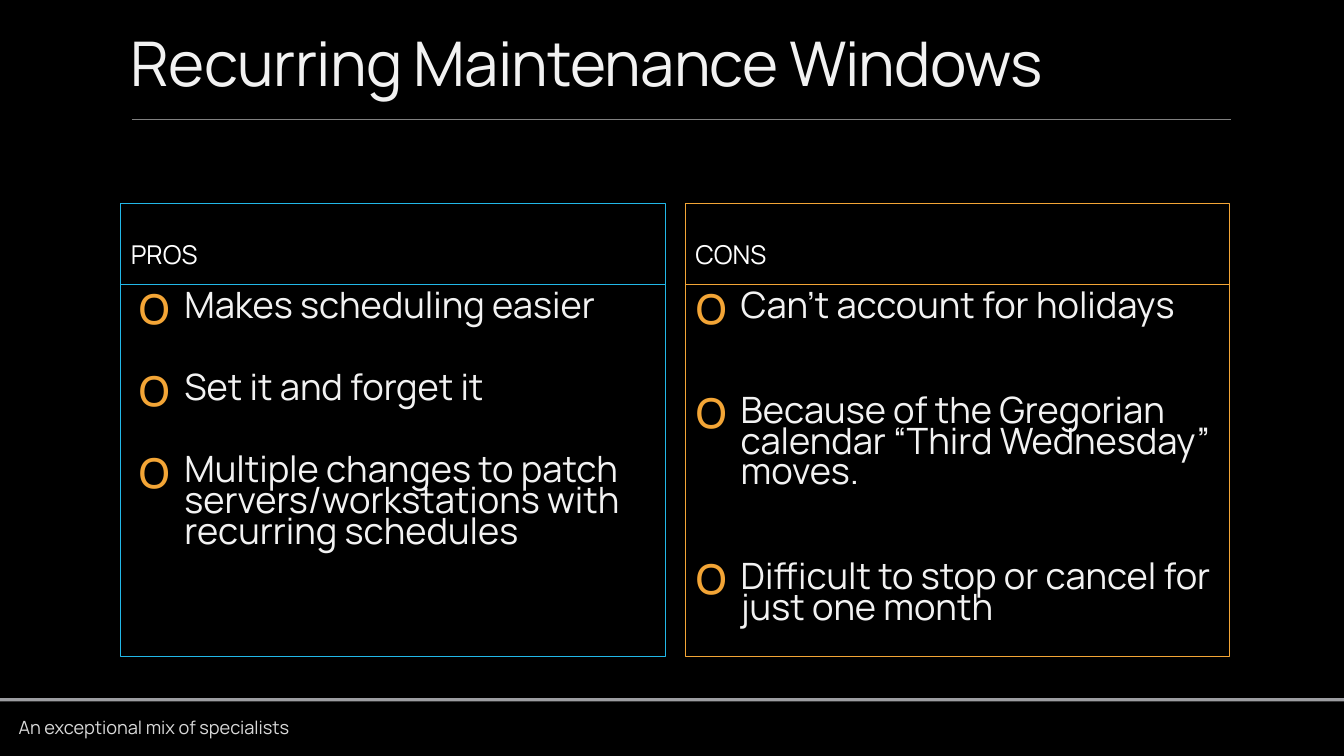
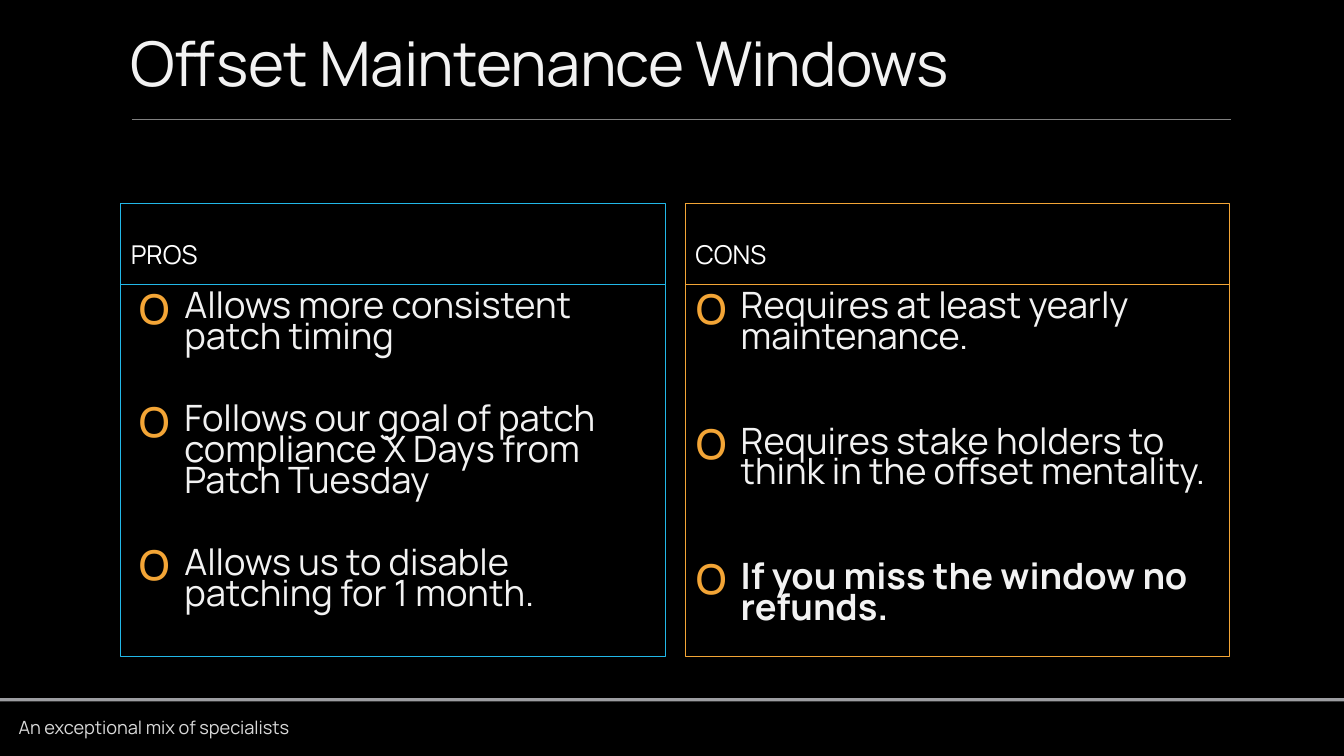
from lxml import etree
from pptx import Presentation
from pptx.dml.color import RGBColor
from pptx.enum.shapes import MSO_CONNECTOR, MSO_SHAPE
from pptx.enum.text import MSO_ANCHOR, PP_ALIGN
from pptx.oxml.ns import qn
from pptx.util import Pt

RECT, STRAIGHT = MSO_SHAPE.RECTANGLE, MSO_CONNECTOR.STRAIGHT
TOP, MIDDLE, LEFT = MSO_ANCHOR.TOP, MSO_ANCHOR.MIDDLE, PP_ALIGN.LEFT

BLACK = RGBColor(0x00, 0x00, 0x00)
WHITE = RGBColor(0xFF, 0xFF, 0xFF)
OFF_WHITE = RGBColor(0xF2, 0xF2, 0xF2)
PALE = RGBColor(0xD9, 0xD9, 0xD9)
BAND = RGBColor(0x9C, 0x9D, 0xA1)
GRAY = RGBColor(0x80, 0x80, 0x80)
BLUE = RGBColor(0x22, 0xB7, 0xE8)
ORANGE = RGBColor(0xF3, 0xA5, 0x36)

FONT = "Manrope"
W, H = 960, 540
COL_W, HEAD_Y, HEAD_H, BODY_H = 388.8, 145.4, 58, 265.7
INDENT = 32.4

# heading, left edge, outline, text indent, gap between items
COLUMNS = [
    ("PROS", 86.4, BLUE, 38.2, 36.5),
    ("CONS", 489.6, ORANGE, INDENT, 52.4),
]

# title, items of each column, items in bold
SLIDES = [
    ("Recurring Maintenance Windows",
     [["Makes scheduling easier",
       "Set it and forget it",
       "Multiple changes to patch servers/workstations with recurring schedules"],
      ["Can’t account for holidays",
       "Because of the Gregorian calendar “Third Wednesday” moves.",
       "Difficult to stop or cancel for just one month"]],
     []),
    ("Offset Maintenance Windows",
     [["Allows more consistent patch timing",
       "Follows our goal of patch compliance X Days from Patch Tuesday",
       "Allows us to disable patching for 1 month."],
      ["Requires at least yearly maintenance.",
       "Requires stake holders to think in the offset mentality.",
       "If you miss the window no refunds."]],
     ["If you miss the window no refunds."]),
]


def add_text(p, text, size, color, bold=False):
    p.alignment = LEFT
    r = p.add_run()
    r.text = text
    for name, value in {"name": FONT, "size": Pt(size), "bold": bold}.items():
        setattr(r.font, name, value)
    r.font.color.rgb = color
    return r


def add_box(s, x, y, w, h, line=None, anchor=TOP, top=3.6):
    if line is None:
        sp = s.shapes.add_textbox(Pt(x), Pt(y), Pt(w), Pt(h))
    else:
        sp = s.shapes.add_shape(RECT, Pt(x), Pt(y), Pt(w), Pt(h))
        sp.shadow.inherit = False
        sp.fill.background()
        sp.line.color.rgb = line
        sp.line.width = Pt(0.75)
    tf = sp.text_frame
    frame = {"word_wrap": True, "vertical_anchor": anchor, "margin_top": Pt(top),
             "margin_bottom": Pt(3.6), "margin_left": Pt(7.2), "margin_right": Pt(7.2)}
    for name, value in frame.items():
        setattr(tf, name, value)
    return tf


prs = Presentation()
prs.slide_width, prs.slide_height = Pt(W), Pt(H)

for title, lists, bold_items in SLIDES:
    s = prs.slides.add_slide(prs.slide_layouts[6])
    s.background.fill.solid()
    s.background.fill.fore_color.rgb = BLACK

    # Footer band and tagline
    sp = s.shapes.add_shape(RECT, 0, Pt(498.7), Pt(W), Pt(2.3))
    sp.shadow.inherit = False
    sp.fill.solid()
    sp.fill.fore_color.rgb = BAND
    sp.line.fill.background()
    tf = add_box(s, 6.2, 508.3, 227.5, 23)
    add_text(tf.paragraphs[0], "An exceptional mix of specialists", 13, PALE)

    # Title and rule
    rule = s.shapes.add_connector(STRAIGHT, Pt(94.3), Pt(85.5), Pt(879), Pt(85.5))
    rule.line.color.rgb = GRAY
    rule.line.width = Pt(0.5)
    etree.SubElement(rule._element.spPr, qn("a:effectLst"))
    p = add_box(s, 86.4, 22.3, 792, 114.5).paragraphs[0]
    p.line_spacing = 0.85
    r = add_text(p, title, 44, OFF_WHITE)
    r.font._element.set("spc", "-50")

    # Pros and cons columns
    for (heading, x, line, indent, gap), items in zip(COLUMNS, lists):
        tf = add_box(s, x, HEAD_Y, COL_W, HEAD_H, line, MIDDLE, 17.4)
        add_text(tf.paragraphs[0], heading, 18.5, WHITE)

        tf = add_box(s, x, HEAD_Y + HEAD_H, COL_W, BODY_H, line, TOP, 6.7)
        for i, item in enumerate(items):
            p = tf.add_paragraph() if i else tf.paragraphs[0]
            pPr = p._p.get_or_add_pPr()
            pPr.set("marL", str(Pt(indent)))
            pPr.set("indent", str(-Pt(INDENT)))
            clr = etree.SubElement(pPr, qn("a:buClr"))
            etree.SubElement(clr, qn("a:srgbClr"), val=str(ORANGE))
            etree.SubElement(pPr, qn("a:buSzPct"), val="150000")
            etree.SubElement(pPr, qn("a:buFont"), typeface=FONT)
            etree.SubElement(pPr, qn("a:buChar"), char="o")
            p.line_spacing = 0.71
            p.space_before = Pt(gap if i else 0)
            add_text(p, item, 25.9, OFF_WHITE, item in bold_items)

prs.save("out.pptx")
